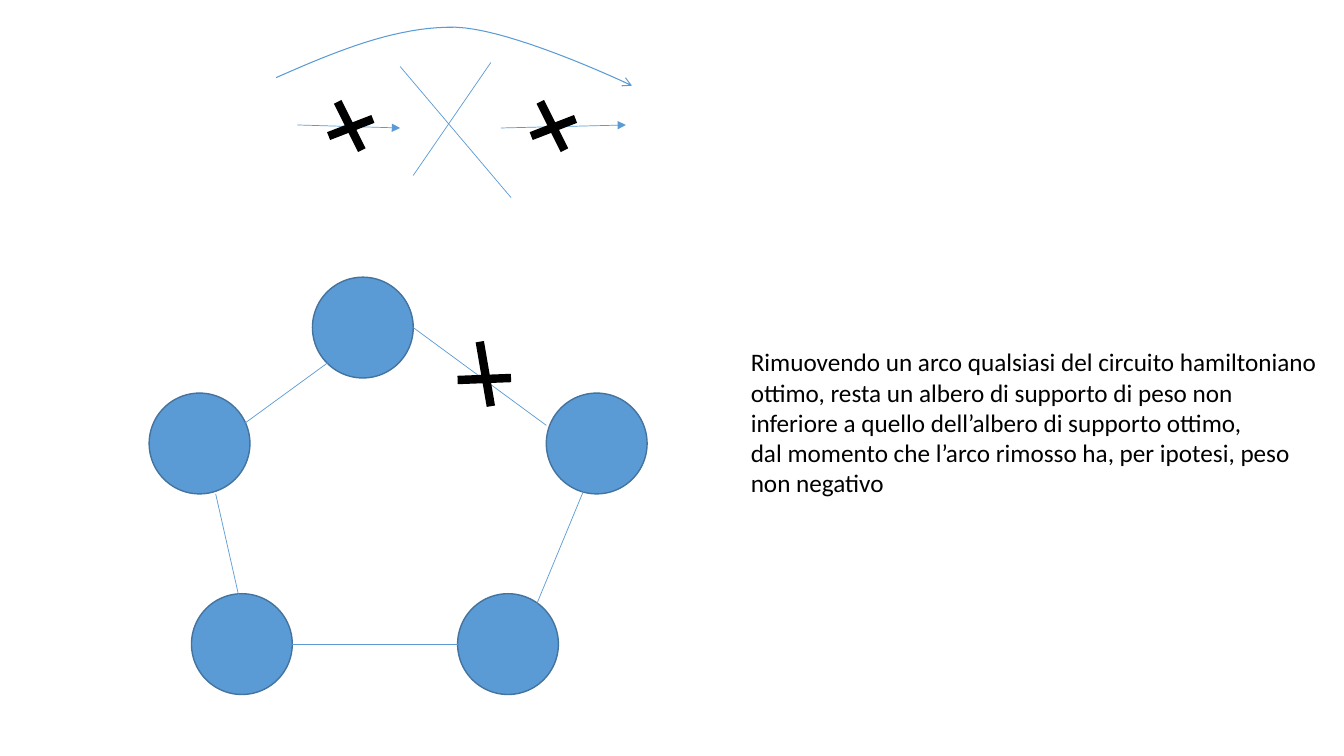
from lxml.etree import SubElement
from pptx import Presentation
from pptx.dml.color import RGBColor
from pptx.enum.shapes import MSO_CONNECTOR, MSO_SHAPE
from pptx.enum.text import MSO_AUTO_SIZE
from pptx.oxml.ns import qn
from pptx.util import Pt

HUES = {"node": "5B9BD5", "rim": "43739E", "edge": "5B9BD5", "ink": "000000"}

SIZE = 72
NODES = [(259.2, 234), (142.56, 316.8), (172.8, 460.08),
         (362.88, 460.08), (426.24, 316.8)]
EDGES = [(234, 259.2, 172.8, 303.84), (154.08, 352.8, 172.8, 435.6),
         (295.2, 234, 390.24, 303.84), (418.32, 347.04, 375.12, 451.44),
         (208.8, 460.08, 326.88, 460.08)]
CUT = [(342.72, 244.08, 350.64, 290.16), (326.88, 271.44, 365.04, 270)]
CROSS = [(241.2, 72.72, 258.48, 107.28), (234.72, 97.2, 266.4, 84.96)]
STEP = 144.72
ARROWS = [(212.4, 89.28, 285.84, 91.44), (357.84, 91.44, 447.12, 89.28)]
SWAP = [(285.84, 47.52, 365.04, 141.12), (350.64, 44.64, 295.2, 125.28)]
CURVE = [[(197.28, 55.44), (239.76, 36.72), (282.96, 18.72), (325.44, 19.44)],
         [(325.44, 19.44), (367.2, 20.88), (451.44, 61.2), (451.44, 61.2)]]
PARTS = 20
TEXT = [
    "Rimuovendo un arco qualsiasi del circuito hamiltoniano",
    "ottimo, resta un albero di supporto di peso non",
    "inferiore a quello dell’albero di supporto ottimo,",
    "dal momento che l’arco rimosso ha, per ipotesi, peso",
    "non negativo",
]


def apply(item, values):
    for name, value in values.items():
        setattr(item, name, value)


def hue(name):
    return RGBColor.from_string(HUES[name])


def stroke(shape, name, width, head=None):
    shape.line.color.rgb = hue(name)
    shape.line.width = Pt(width)
    if head:
        SubElement(shape.line._get_or_add_ln(), qn("a:tailEnd"), type=head)


def add_node(slide, x, y):
    node = slide.shapes.add_shape(
        MSO_SHAPE.OVAL, Pt(x - SIZE / 2), Pt(y - SIZE / 2), Pt(SIZE), Pt(SIZE))
    node.shadow.inherit = False
    node.fill.solid()
    node.fill.fore_color.rgb = hue("node")
    stroke(node, "rim", 1)


def add_lines(slide, ends, name="edge", width=0.5, head=None, shift=0):
    for x1, y1, x2, y2 in ends:
        line = slide.shapes.add_connector(
            MSO_CONNECTOR.STRAIGHT,
            Pt(x1 + shift), Pt(y1), Pt(x2 + shift), Pt(y2))
        stroke(line, name, width, head)
        SubElement(line._element.spPr, qn("a:effectLst"))


def point(curve, t):
    u = 1 - t
    rates = (u ** 3, 3 * u * u * t, 3 * u * t * t, t ** 3)
    return tuple(Pt(sum(r * p[i] for r, p in zip(rates, curve)))
                 for i in (0, 1))


def add_curve(slide):
    start, *rest = [point(CURVE[0], 0)] + [
        point(part, n / PARTS) for part in CURVE for n in range(1, PARTS + 1)]
    form = slide.shapes.build_freeform(*start, scale=1.0)
    form.add_line_segments(rest, close=False)
    arc = form.convert_to_shape()
    arc.shadow.inherit = False
    arc.fill.background()
    stroke(arc, "edge", 0.75, "arrow")


def add_text(slide):
    box = slide.shapes.add_textbox(
        Pt(529.2), Pt(244.08), Pt(423.36), Pt(116.64))
    frame = box.text_frame
    apply(frame, {"text": "\n".join(TEXT), "word_wrap": False,
                  "auto_size": MSO_AUTO_SIZE.SHAPE_TO_FIT_TEXT})
    for para in frame.paragraphs:
        apply(para.font, {"name": "Calibri", "size": Pt(18)})
        para.font.color.rgb = hue("ink")


def main():
    deck = Presentation()
    apply(deck, {"slide_width": Pt(960), "slide_height": Pt(540)})
    slide = deck.slides.add_slide(deck.slide_layouts[6])
    for x, y in NODES:
        add_node(slide, x, y)
    add_lines(slide, EDGES)
    add_lines(slide, CUT, "ink", 6)
    add_text(slide)
    add_lines(slide, ARROWS, head="triangle")
    add_curve(slide)
    for shift in (0, STEP):
        add_lines(slide, CROSS, "ink", 6, shift=shift)
    add_lines(slide, SWAP)
    deck.save("out.pptx")


if __name__ == "__main__":
    main()
